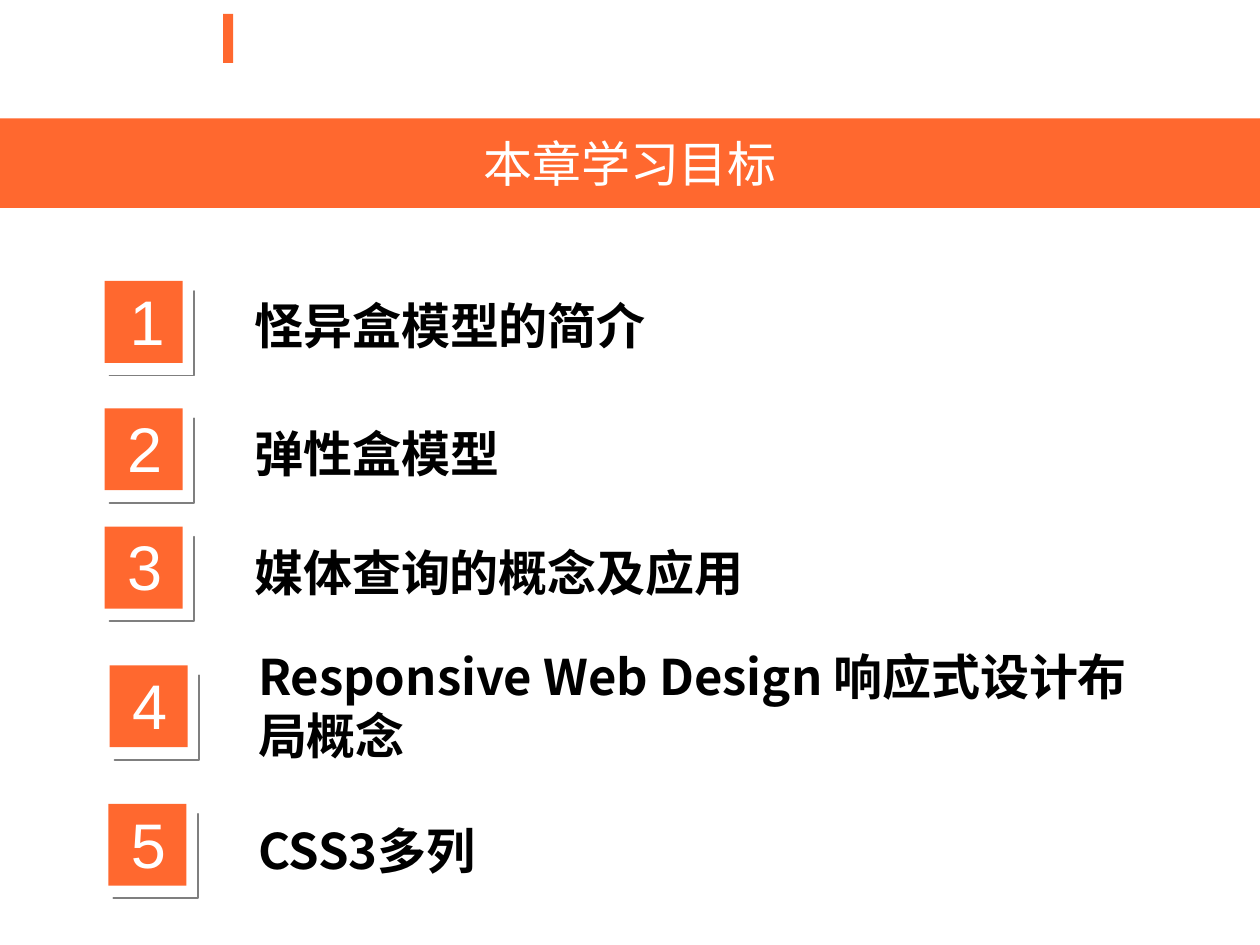
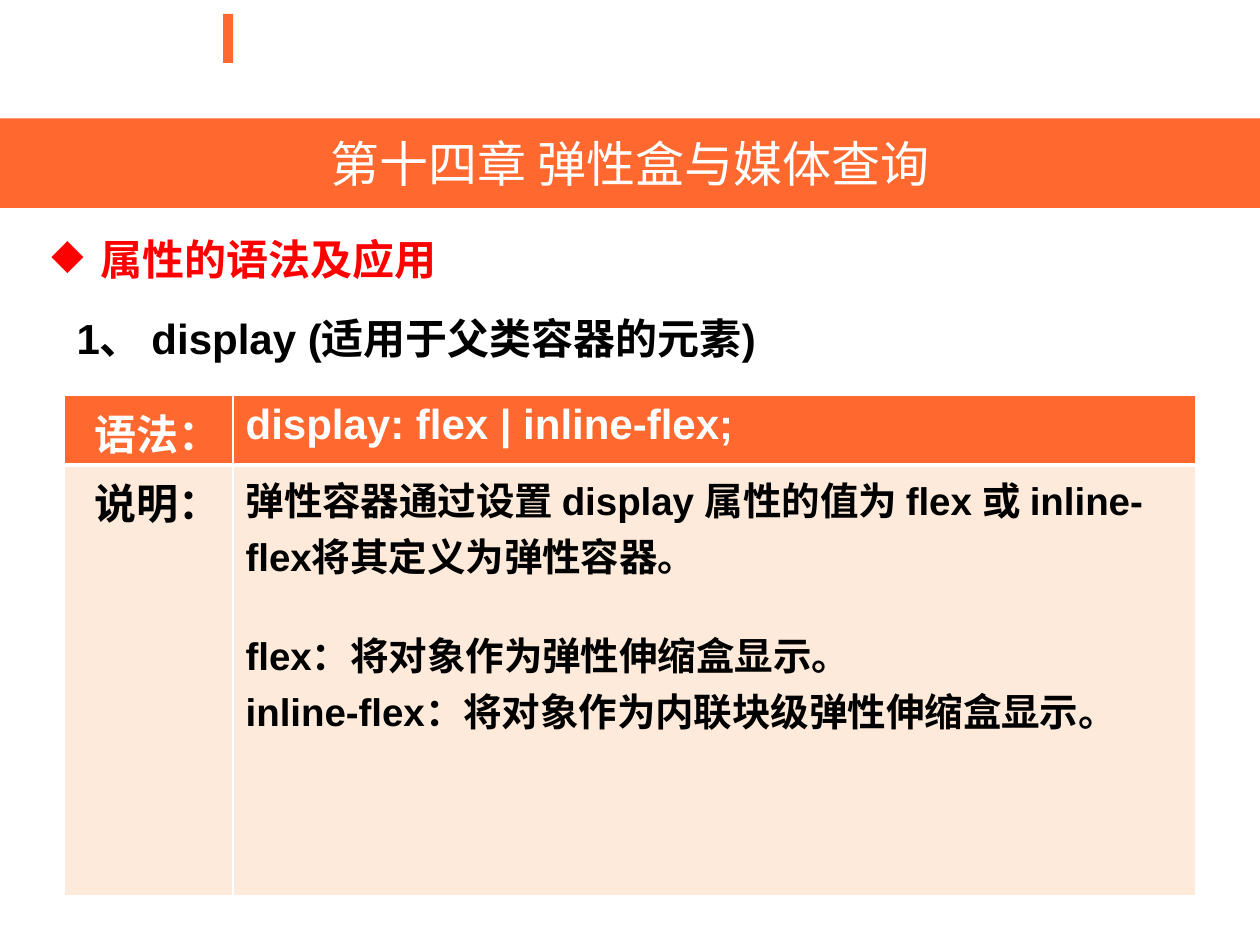
from dataclasses import dataclass

from lxml.etree import SubElement
from pptx import Presentation
from pptx.dml.color import RGBColor
from pptx.enum.shapes import MSO_SHAPE as Shape
from pptx.enum.text import MSO_ANCHOR as Anchor, MSO_AUTO_SIZE as AutoSize, PP_ALIGN as Align
from pptx.oxml.ns import qn
from pptx.util import Inches, Pt


@dataclass(frozen=True)
class Theme:
    accent: str = "FF682F"
    tint: str = "FDEADA"
    white: str = "FFFFFF"
    black: str = "000000"
    red: str = "FF0000"
    corner_fill: str = "AFABAB"
    corner_line: str = "7F7F7F"
    latin: str = "Arial"
    chinese: str = "Noto Sans CJK SC"
    title_size: int = 28
    number_size: int = 36
    heading_size: int = 24
    body_size: int = 22


THEME = Theme()

# badge left, badge top, label left, label top, label width, label height, label
GOALS = [
    (0.83, 2.23, 1.92, 2.30, 7.69, 0.57, "怪异盒模型的简介"),
    (0.83, 3.24, 1.92, 3.31, 7.69, 0.57, "弹性盒模型"),
    (0.83, 4.18, 1.92, 4.26, 7.26, 0.57, "媒体查询的概念及应用"),
    (0.87, 5.28, 1.95, 5.08, 7.26, 1.04, "Responsive Web Design 响应式设计布局概念"),
    (0.86, 6.38, 1.95, 6.46, 7.26, 0.57, "CSS3多列"),
]

DISPLAY_NOTES = [
    "弹性容器通过设置 display 属性的值为 flex 或 inline-flex将其定义为弹性容器。",
    "flex：将对象作为弹性伸缩盒显示。",
    "inline-flex：将对象作为内联块级弹性伸缩盒显示。",
]


def rgb(color):
    return RGBColor.from_string(color)


def inches(*values):
    return [Inches(value) for value in values]


def paint(shape, color):
    shape.fill.solid()
    shape.fill.fore_color.rgb = rgb(color)


def write(paragraph, text, size, color, bold=False, font=THEME.latin, align=Align.LEFT):
    paragraph.alignment = align
    run = paragraph.add_run()
    run.text = text
    for name, value in {"name": font, "size": Pt(size), "bold": bold}.items():
        setattr(run.font, name, value)
    run.font.color.rgb = rgb(color)
    SubElement(run._r.get_or_add_rPr(), qn("a:ea"), typeface=THEME.chinese)


def add_text(slide, box, text, size, color, **formats):
    frame = slide.shapes.add_textbox(*inches(*box)).text_frame
    frame.word_wrap = True
    write(frame.paragraphs[0], text, size, color, **formats)
    return frame.paragraphs[0]


def add_block(slide, box):
    block = slide.shapes.add_shape(Shape.RECTANGLE, *inches(*box))
    block.shadow.inherit = False
    block.line.fill.background()
    paint(block, THEME.accent)


def add_titled_slide(presentation, title):
    """Add a slide with the accent mark and the full-width title band."""
    slide = presentation.slides.add_slide(presentation.slide_layouts[5])
    add_block(slide, (1.77, 0.11, 0.08, 0.39))
    band = slide.shapes.title
    for name, value in zip(("left", "top", "width", "height"), inches(0, 0.94, 10, 0.71)):
        setattr(band, name, value)
    paint(band, THEME.accent)
    frame = band.text_frame
    frame.auto_size = AutoSize.NONE
    frame.vertical_anchor = Anchor.MIDDLE
    write(frame.paragraphs[0], title, THEME.title_size, THEME.white, align=Align.CENTER)
    return slide


def add_corner(slide, left, top, size=0.67):
    """Draw the thin right and bottom edges behind a badge."""
    right, bottom = left + size, top + size
    builder = slide.shapes.build_freeform(*inches(left, bottom))
    points = [(right, bottom), (right, top), (right, bottom)]
    builder.add_line_segments([inches(*point) for point in points], close=True)
    corner = builder.convert_to_shape()
    corner.shadow.inherit = False
    paint(corner, THEME.corner_fill)
    corner.line.color.rgb = rgb(THEME.corner_line)
    corner.line.width = Pt(1)


def add_goal(slide, number, left, top, label_left, label_top, width, height, label):
    add_block(slide, (left, top, 0.62, 0.65))
    nudge = 0.1 if number == 1 else 0.08
    add_text(slide, (left + nudge, top - 0.04, 0.51, 0.71), str(number),
             THEME.number_size, THEME.white)
    add_corner(slide, left + 0.04, top + 0.08)
    add_text(slide, (label_left, label_top, width, height), label,
             THEME.title_size, THEME.black, bold=True, font=THEME.chinese)


def add_bullet(paragraph, character, indent):
    properties = paragraph._p.get_or_add_pPr()
    properties.set("marL", str(Inches(indent)))
    properties.set("indent", str(-Inches(indent)))
    SubElement(properties, qn("a:buChar"), char=character)


def set_borders(cell, **widths):
    properties = cell._tc.get_or_add_tcPr()
    for side in "LRTB":
        line = SubElement(properties, qn(f"a:ln{side}"), w=str(Pt(widths.get(side, 1))))
        fill = SubElement(line, qn("a:solidFill"))
        SubElement(fill, qn("a:srgbClr"), val=THEME.white)


def add_syntax_table(slide, syntax, notes):
    table = slide.shapes.add_table(2, 2, *inches(0.51, 3.14, 8.98, 3.97)).table
    for column, width in zip(table.columns, inches(1.34, 7.64)):
        column.width = width
    for row, height in zip(table.rows, inches(0.55, 3.42)):
        row.height = height

    rows = [
        ("语法：", [syntax], THEME.heading_size, THEME.white, THEME.accent, {"B": 3}),
        ("说明：", notes, THEME.body_size, THEME.black, THEME.tint, {"T": 3}),
    ]
    for index, (label, lines, size, color, fill, borders) in enumerate(rows):
        label_cell, text_cell = table.cell(index, 0), table.cell(index, 1)
        for cell in (label_cell, text_cell):
            set_borders(cell, **borders)
            paint(cell, fill)
        write(label_cell.text_frame.paragraphs[0], label, THEME.heading_size, color,
              bold=True, align=Align.RIGHT)
        frame = text_cell.text_frame
        for position, line in enumerate(lines):
            paragraph = frame.add_paragraph() if position else frame.paragraphs[0]
            write(paragraph, line, size, color, bold=True)
            if position == 1:
                paragraph.space_before = Pt(25)


def build_goals_slide(presentation):
    slide = add_titled_slide(presentation, "本章学习目标")
    for number, goal in enumerate(GOALS, start=1):
        add_goal(slide, number, *goal)


def build_display_slide(presentation):
    slide = add_titled_slide(presentation, "第十四章 弹性盒与媒体查询")
    heading = add_text(slide, (0.31, 1.8, 9.53, 0.55), "属性的语法及应用",
                       THEME.heading_size, THEME.red, bold=True)
    add_bullet(heading, "◆", 0.39)
    add_text(slide, (0.51, 2.43, 9, 0.55), "1、 display (适用于父类容器的元素)",
             THEME.heading_size, THEME.black, bold=True)
    add_syntax_table(slide, "display: flex | inline-flex;", DISPLAY_NOTES)


def main():
    presentation = Presentation()
    presentation.slide_width, presentation.slide_height = inches(10, 7.5)
    build_goals_slide(presentation)
    build_display_slide(presentation)
    presentation.save("out.pptx")


if __name__ == "__main__":
    main()
